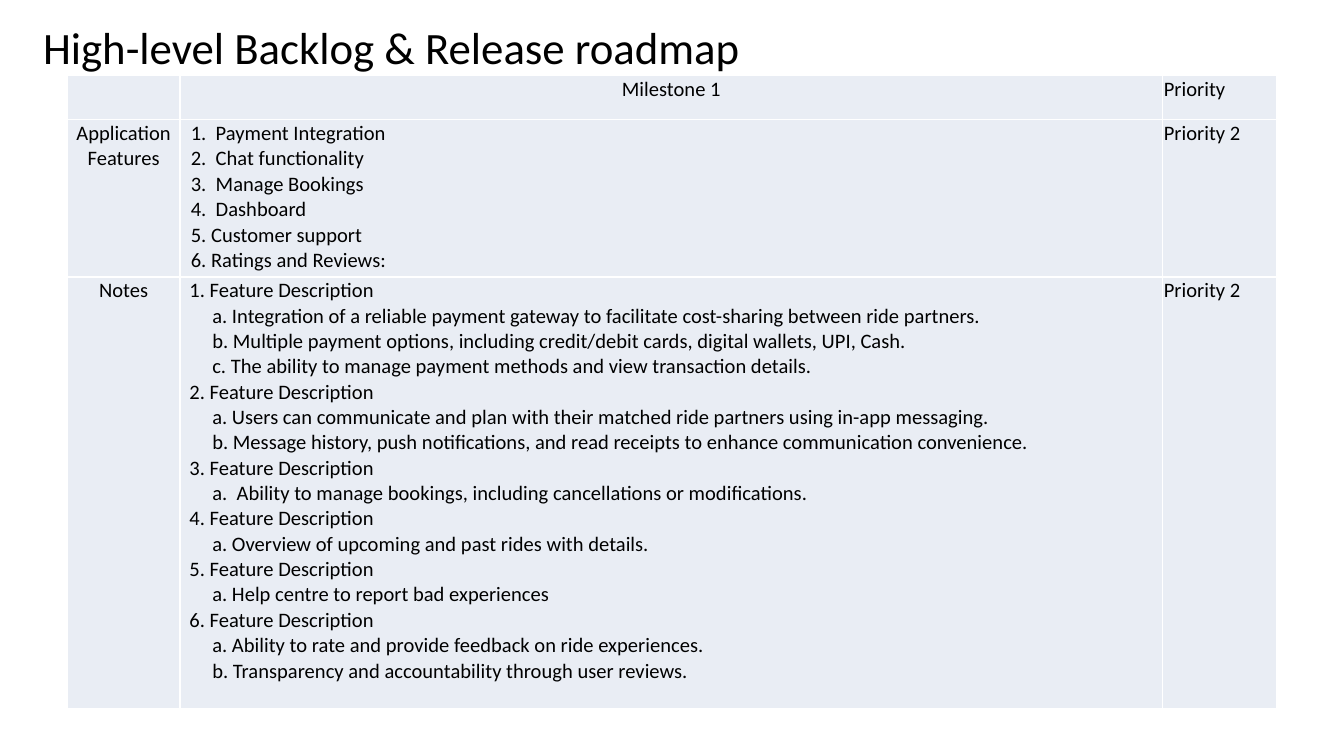
from lxml import etree
from pptx import Presentation
from pptx.dml.color import RGBColor
from pptx.enum.text import MSO_ANCHOR, MSO_AUTO_SIZE, PP_ALIGN
from pptx.oxml.ns import qn
from pptx.util import Inches, Pt

TOP = MSO_ANCHOR.TOP
NO_AUTOFIT = MSO_AUTO_SIZE.NONE
LEFT = PP_ALIGN.LEFT
CENTER = PP_ALIGN.CENTER

FONT = "Calibri"
TEXT_COLOR = "000000"
CELL_COLOR = "E9EDF4"
BORDER_COLOR = "FFFFFF"
COLUMN_WIDTHS = [0.84, 7.31, 0.85]
ROW_HEIGHTS = [0.33, 1.17, 3.12]
SUBITEM_INDENT = 0.17

FEATURES = [
    "1.  Payment Integration",
    "2.  Chat functionality",
    "3.  Manage Bookings",
    "4.  Dashboard",
    "5. Customer support",
    "6. Ratings and Reviews:",
]
NOTES = [
    [
        "a. Integration of a reliable payment gateway to facilitate cost-sharing between ride partners.",
        "b. Multiple payment options, including credit/debit cards, digital wallets, UPI, Cash.",
        "c. The ability to manage payment methods and view transaction details.",
    ],
    [
        "a. Users can communicate and plan with their matched ride partners using in-app messaging.",
        "b. Message history, push notifications, and read receipts to enhance communication convenience.",
    ],
    ["a.  Ability to manage bookings, including cancellations or modifications."],
    ["a. Overview of upcoming and past rides with details."],
    ["a. Help centre to report bad experiences"],
    [
        "a. Ability to rate and provide feedback on ride experiences.",
        "b. Transparency and accountability through user reviews.",
    ],
]


def color(value):
    return RGBColor.from_string(value)


def write_text(paragraph, text, size=11, align=LEFT, indent=0):
    paragraph.alignment = align
    if indent:
        paragraph._p.get_or_add_pPr().set("marL", str(Inches(indent)))
    run = paragraph.add_run()
    run.text = text
    run.font.size = Pt(size)
    run.font.name = FONT
    run.font.bold = False
    run.font.color.rgb = color(TEXT_COLOR)


def add_title(slide, text):
    title = slide.shapes.title
    title.left, title.top = Inches(0.25), Inches(0.15)
    title.width, title.height = Inches(5.75), Inches(0.81)
    frame = title.text_frame
    frame.auto_size = NO_AUTOFIT
    frame.vertical_anchor = TOP
    frame.margin_left = Inches(0.07)
    frame.margin_top = frame.margin_right = frame.margin_bottom = 0
    write_text(frame.paragraphs[0], text, size=24)


def add_borders(cell):
    properties = cell._tc.get_or_add_tcPr()
    for position, side in enumerate(("lnL", "lnR", "lnT", "lnB")):
        line = etree.Element(qn(f"a:{side}"), w=str(Pt(1)))
        fill = etree.SubElement(line, qn("a:solidFill"))
        etree.SubElement(fill, qn("a:srgbClr"), val=BORDER_COLOR)
        properties.insert(position, line)


def fill_cell(cell, lines, align=LEFT, margin_left=0.01, margin_bottom=0):
    cell.fill.solid()
    cell.fill.fore_color.rgb = color(CELL_COLOR)
    add_borders(cell)
    cell.vertical_anchor = TOP
    cell.margin_left = Inches(margin_left)
    cell.margin_top = cell.margin_right = Inches(0.01)
    cell.margin_bottom = Inches(margin_bottom)
    frame = cell.text_frame
    for index, (text, indent) in enumerate(lines):
        paragraph = frame.add_paragraph() if index else frame.paragraphs[0]
        write_text(paragraph, text, align=align, indent=indent)


def note_lines():
    lines = []
    for number, subitems in enumerate(NOTES, start=1):
        lines.append((f"{number}. Feature Description", 0))
        lines += [(text, SUBITEM_INDENT) for text in subitems]
    return lines


def add_backlog_table(slide):
    frame = slide.shapes.add_table(
        len(ROW_HEIGHTS), len(COLUMN_WIDTHS), Inches(0.5), Inches(0.56),
        Inches(sum(COLUMN_WIDTHS)), Inches(sum(ROW_HEIGHTS)))
    table = frame.table
    table.first_row = table.horz_banding = False
    for column, width in zip(table.columns, COLUMN_WIDTHS):
        column.width = Inches(width)
    for row, height in zip(table.rows, ROW_HEIGHTS):
        row.height = Inches(height)

    labels = [[], [("Application Features", 0)], [("Notes", 0)]]
    priorities = ["Priority", "Priority 2", "Priority 2"]
    for row, (label, priority) in enumerate(zip(labels, priorities)):
        fill_cell(table.cell(row, 0), label, align=CENTER)
        fill_cell(table.cell(row, 2), [(priority, 0)])
    fill_cell(table.cell(0, 1), [("Milestone 1", 0)], align=CENTER)
    fill_cell(table.cell(1, 1), [(text, 0) for text in FEATURES], margin_left=0.08)
    fill_cell(table.cell(2, 1), note_lines(), margin_left=0.07, margin_bottom=0.19)


def main():
    presentation = Presentation()
    presentation.slide_width = Inches(10)
    presentation.slide_height = Inches(10) * 9 // 16
    slide = presentation.slides.add_slide(presentation.slide_layouts[5])
    add_title(slide, "High-level Backlog & Release roadmap")
    add_backlog_table(slide)
    presentation.save("out.pptx")


if __name__ == "__main__":
    main()
